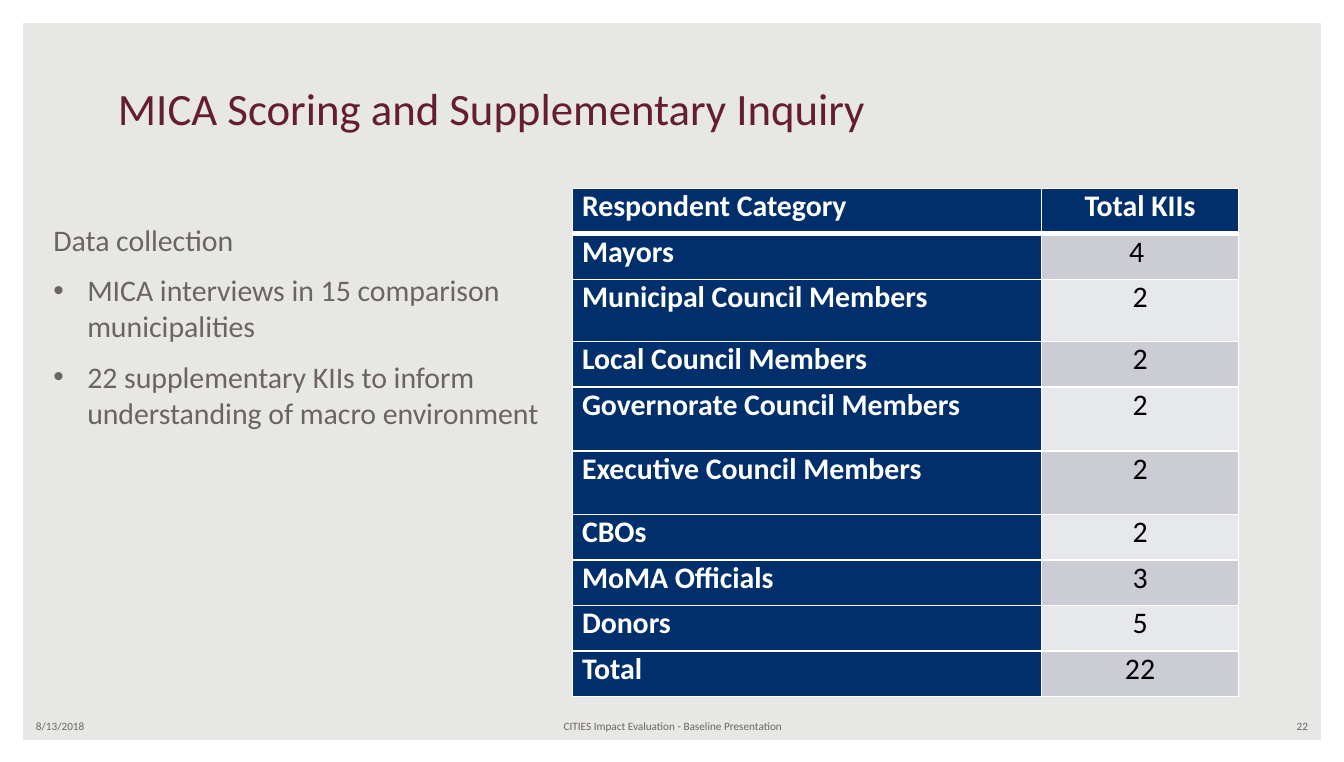
from lxml import etree
from pptx import Presentation
from pptx import util as u
from pptx.dml.color import RGBColor
from pptx.enum import shapes, text
from pptx.oxml import ns

BACKGROUND = RGBColor(0xE7, 0xE7, 0xE5)
WHITE = RGBColor(0xFF, 0xFF, 0xFF)
BLACK = RGBColor(0, 0, 0)
GREY = RGBColor(0x6C, 0x64, 0x63)
MAROON = RGBColor(0x65, 0x1D, 0x32)
NAVY = RGBColor(0x00, 0x2F, 0x6C)
BANDS = [RGBColor(0xCC, 0xCD, 0xD4), RGBColor(0xE7, 0xE8, 0xEB)]

LEFT, CENTER, RIGHT = text.PP_ALIGN.LEFT, text.PP_ALIGN.CENTER, text.PP_ALIGN.RIGHT
TOP, MIDDLE, BOTTOM = (text.MSO_ANCHOR.TOP, text.MSO_ANCHOR.MIDDLE,
                       text.MSO_ANCHOR.BOTTOM)


class SlideBuilder:
    font_name = "Calibri"

    def __init__(self, slide):
        self.slide = slide
        slide.background.fill.solid()
        slide.background.fill.fore_color.rgb = BACKGROUND

    def style(self, paragraph, size, color, bold=False, align=LEFT):
        paragraph.alignment = align
        font = paragraph.font
        font.name, font.size, font.bold = self.font_name, u.Pt(size), bold
        font.color.rgb = color

    def frame(self, width, height, thickness):
        shape = self.slide.shapes.add_shape(
            shapes.MSO_SHAPE.FRAME, 0, 0, u.Cm(width), u.Cm(height))
        shape.adjustments[0] = thickness
        shape.shadow.inherit = False
        shape.fill.solid()
        shape.fill.fore_color.rgb = WHITE
        shape.line.fill.background()

    def text_box(self, box, lines, size, color, align=LEFT, anchor=TOP,
                 space_after=0, bullets_from=None):
        shape = self.slide.shapes.add_textbox(*map(u.Cm, box))
        frame = shape.text_frame
        frame.word_wrap = True
        frame.vertical_anchor = anchor
        for index, line in enumerate(lines):
            paragraph = frame.add_paragraph() if index else frame.paragraphs[0]
            paragraph.text = line
            paragraph.space_after = u.Pt(space_after)
            if bullets_from is not None and index >= bullets_from:
                self.bullet(paragraph)
            self.style(paragraph, size, color, align=align)

    def bullet(self, paragraph, indent=0.64):
        properties = paragraph._p.get_or_add_pPr()
        properties.set("marL", str(u.Cm(indent)))
        properties.set("indent", str(-u.Cm(indent)))
        etree.SubElement(properties, ns.qn("a:buFont"), typeface="Arial")
        etree.SubElement(properties, ns.qn("a:buChar"), char="•")

    def borders(self, cell, **widths):
        properties = cell._tc.get_or_add_tcPr()
        for side in "LRTB":
            line = etree.SubElement(properties, ns.qn(f"a:ln{side}"),
                                    w=str(u.Pt(widths.get(side, 1))))
            fill = etree.SubElement(line, ns.qn("a:solidFill"))
            etree.SubElement(fill, ns.qn("a:srgbClr"), val=str(WHITE))

    def table(self, left, top, widths, heights, rows, size):
        table = self.slide.shapes.add_table(
            len(rows), len(widths), u.Cm(left), u.Cm(top),
            u.Cm(sum(widths)), u.Cm(sum(heights))).table
        for column, width in zip(table.columns, widths):
            column.width = u.Cm(width)
        for row_index, values in enumerate(rows):
            table.rows[row_index].height = u.Cm(heights[row_index])
            for column_index, value in enumerate(values):
                cell = table.cell(row_index, column_index)
                heading = row_index == 0 or column_index == 0
                cell.margin_left = cell.margin_right = u.Cm(0.18)
                cell.margin_top = cell.margin_bottom = 0
                # A heavier rule separates the header from the body
                self.borders(cell, T=3 if row_index == 1 else 1,
                             B=3 if row_index == 0 else 1)
                cell.fill.solid()
                cell.fill.fore_color.rgb = (
                    NAVY if heading else BANDS[(row_index - 1) % 2])
                cell.text = value
                self.style(cell.text_frame.paragraphs[0], size,
                           WHITE if heading else BLACK, heading,
                           CENTER if column_index else LEFT)


def main():
    presentation = Presentation()
    presentation.slide_width, presentation.slide_height = u.Cm(25.4), u.Cm(14.4)
    builder = SlideBuilder(presentation.slides.add_slide(presentation.slide_layouts[6]))
    builder.frame(25.4, 14.42, 0.03)

    # Footer
    for left, width, line, align in [
            (0.43, 5.92, "8/13/2018", LEFT),
            (8.69, 8.05, "CITIES Impact Evaluation - Baseline Presentation", CENTER),
            (19.05, 5.92, "22", RIGHT)]:
        builder.text_box((left, 13.46, width, 0.51), [line], 6, GREY, align, MIDDLE)

    # Title
    builder.text_box((1.98, 1.4, 21.41, 1.27),
                     ["MICA Scoring and Supplementary Inquiry"],
                     24, MAROON, anchor=BOTTOM)

    # Data collection notes
    builder.text_box((0.76, 4.06, 9.78, 8.38), [
        "Data collection",
        "MICA interviews in 15 comparison municipalities",
        "22 supplementary KIIs to inform understanding of macro environment",
    ], 16, GREY, space_after=8, bullets_from=1)

    # Interviews per respondent category
    rows = [
        ("Respondent Category", "Total KIIs"),
        ("Mayors", "4 "),
        ("Municipal Council Members", "2"),
        ("Local Council Members", "2"),
        ("Governorate Council Members", "2"),
        ("Executive Council Members", "2"),
        ("CBOs", "2"),
        ("MoMA Officials", "3"),
        ("Donors", "5"),
        ("Total", "22"),
    ]
    tall_rows = {2: 1.17, 4: 1.21, 5: 1.2}
    heights = [tall_rows.get(index, 0.86) for index in range(len(rows))]
    builder.table(10.82, 3.56, [8.86, 3.73], heights, rows, 16)

    presentation.save("out.pptx")


if __name__ == "__main__":
    main()
